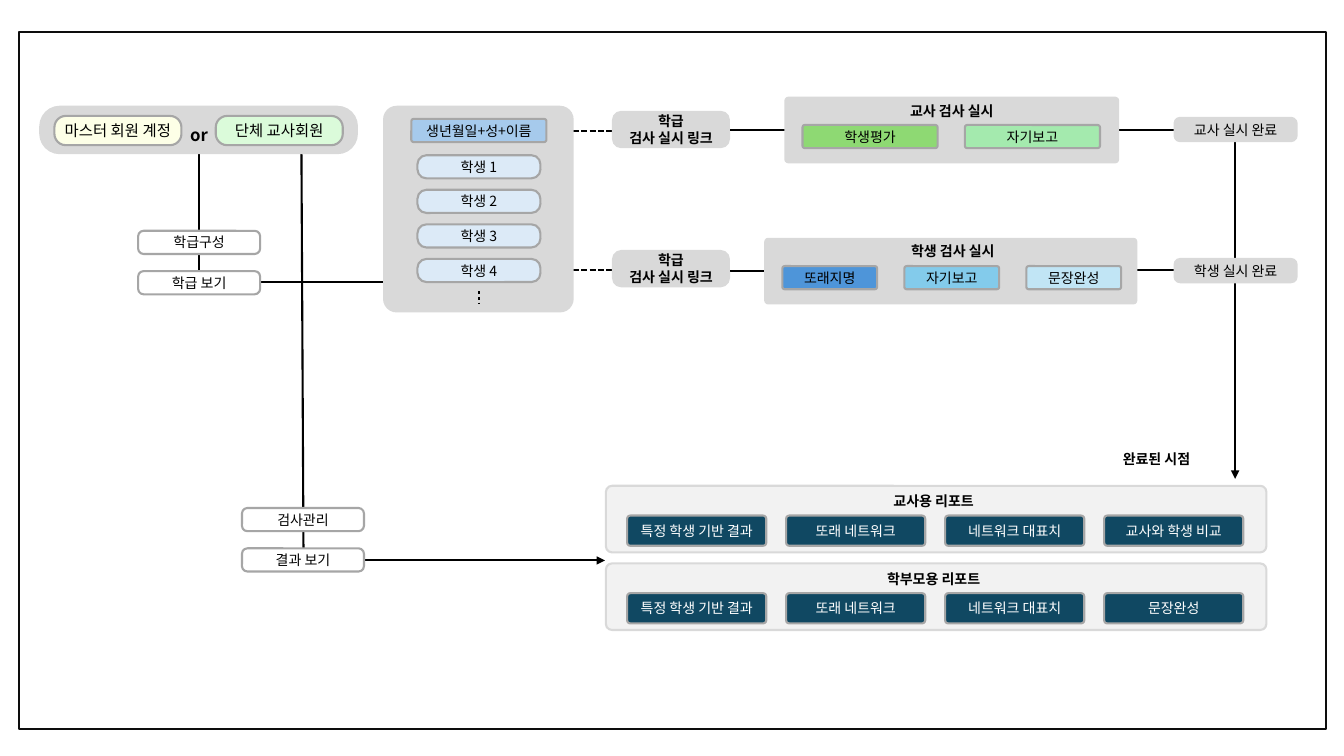
from dataclasses import dataclass
from typing import Optional

import pptx
import pptx.dml.color
import pptx.enum.dml
import pptx.enum.shapes
import pptx.enum.text
import pptx.oxml
import pptx.oxml.ns
import pptx.util

Inches = pptx.util.Inches
Pt = pptx.util.Pt
RGBColor = pptx.dml.color.RGBColor
Shape = pptx.enum.shapes.MSO_SHAPE
Dash = pptx.enum.dml.MSO_LINE

FONT = "Noto Sans CJK KR"
BLACK = RGBColor(0x00, 0x00, 0x00)
WHITE = RGBColor(0xFF, 0xFF, 0xFF)
FRAME = RGBColor(0x0D, 0x0D, 0x0D)
GRAY = RGBColor(0xD9, 0xD9, 0xD9)
EDGE = RGBColor(0xA6, 0xA6, 0xA6)
PALE_GRAY = RGBColor(0xF2, 0xF2, 0xF2)
CREAM = RGBColor(0xFD, 0xFF, 0xE7)
MINT = RGBColor(0xDB, 0xFB, 0xDA)
PALE_BLUE = RGBColor(0xDC, 0xEA, 0xF7)
SOFT_BLUE = RGBColor(0xA6, 0xCA, 0xEC)
GREEN = RGBColor(0x8E, 0xD9, 0x73)
LIGHT_GREEN = RGBColor(0xA4, 0xEA, 0xAE)
BLUE = RGBColor(0x4E, 0x95, 0xD9)
SKY = RGBColor(0x83, 0xCB, 0xEB)
LIGHT_SKY = RGBColor(0xC1, 0xE5, 0xF5)
NAVY = RGBColor(0x10, 0x48, 0x62)


@dataclass(frozen=True)
class Style:
    fill: Optional[RGBColor] = None
    edge: Optional[RGBColor] = None
    corner: float = 0.104
    ink: RGBColor = BLACK
    bold: bool = False
    size: int = 10


@dataclass(frozen=True)
class Box:
    x: float
    y: float
    w: float
    h: float
    style: Style
    text: str = ""


@dataclass(frozen=True)
class Link:
    x1: float
    y1: float
    x2: float
    y2: float
    dash: Optional[Dash] = None
    arrow: bool = False
    width: float = 1.5


HEADING = Style(bold=True)
TEST_PANEL = Style(GRAY, GRAY, 0.046)
REPORT_PANEL = Style(PALE_GRAY, GRAY, 0.09)
REPORT = Style(NAVY, EDGE, ink=WHITE)
MENU = Style(WHITE, EDGE, 0.234)
DONE = Style(GRAY, GRAY, 0.234)
TEST_LINK = Style(GRAY, GRAY, 0.234, bold=True)
STUDENT = Style(PALE_BLUE, EDGE, 0.389)


def write_text(frame, text: str, style: Style) -> None:
    frame.word_wrap = True
    frame.vertical_anchor = pptx.enum.text.MSO_ANCHOR.MIDDLE
    frame.margin_left = frame.margin_right = 0
    frame.margin_top = frame.margin_bottom = 0
    for index, line in enumerate(text.split("\n")):
        paragraph = frame.add_paragraph() if index else frame.paragraphs[0]
        paragraph.alignment = pptx.enum.text.PP_ALIGN.CENTER
        run = paragraph.add_run()
        run.text = line
        run.font.size = Pt(style.size)
        run.font.bold = style.bold
        run.font.color.rgb = style.ink
        run.font.name = FONT
        east_asian = pptx.oxml.parse_xml(
            f'<a:ea {pptx.oxml.ns.nsdecls("a")} typeface="{FONT}"/>')
        run.font._element.append(east_asian)


def draw_box(slide, box: Box) -> None:
    style = box.style
    kind = Shape.ROUNDED_RECTANGLE if style.corner else Shape.RECTANGLE
    shape = slide.shapes.add_shape(
        kind, Inches(box.x), Inches(box.y), Inches(box.w), Inches(box.h))
    shape.shadow.inherit = False
    if style.corner:
        shape.adjustments[0] = style.corner
    if style.fill is None:
        shape.fill.background()
    else:
        shape.fill.solid()
        shape.fill.fore_color.rgb = style.fill
    if style.edge is None:
        shape.line.fill.background()
    else:
        shape.line.color.rgb = style.edge
        shape.line.width = Pt(1.5)
    if box.text:
        write_text(shape.text_frame, box.text, style)


def draw_link(slide, link: Link) -> None:
    connector = slide.shapes.add_connector(
        pptx.enum.shapes.MSO_CONNECTOR.STRAIGHT,
        Inches(link.x1), Inches(link.y1), Inches(link.x2), Inches(link.y2))
    connector.line.color.rgb = BLACK
    connector.line.width = Pt(link.width)
    if link.dash is not None:
        connector.line.dash_style = link.dash
    namespace = pptx.oxml.ns.nsdecls("a")
    if link.arrow:
        connector.line._get_or_add_ln().append(
            pptx.oxml.parse_xml(f'<a:tailEnd {namespace} type="triangle"/>'))
    connector._element.spPr.append(pptx.oxml.parse_xml(f"<a:effectLst {namespace}/>"))


def main() -> None:
    deck = pptx.Presentation()
    deck.slide_width, deck.slide_height = Inches(13.33), Inches(7.5)
    slide = deck.slides.add_slide(deck.slide_layouts[6])

    # Flow lines, behind the boxes
    links = [
        Link(2.99, 1.53, 3.01, 5.44),
        Link(1.97, 1.53, 1.97, 2.68),
        Link(2.58, 2.8, 3.8, 2.8),
        Link(5.68, 1.3, 6.73, 1.3, Dash.SQUARE_DOT),
        Link(6.39, 1.29, 8.4, 1.29),
        Link(11.09, 1.29, 11.65, 1.29),
        Link(5.68, 2.68, 6.73, 2.68, Dash.SQUARE_DOT),
        Link(6.36, 2.69, 7.59, 2.69),
        Link(10.7, 2.68, 11.65, 2.68),
        Link(12.25, 1.41, 12.25, 4.75, arrow=True),
        Link(3.61, 5.56, 6, 5.56, arrow=True),
    ]
    for link in links:
        draw_link(slide, link)

    # Frame, accounts and class roster
    boxes = [
        Box(0.19, 0.32, 12.96, 6.91, Style(edge=FRAME, corner=0)),
        Box(0.4, 1.06, 3.14, 0.46, Style(GRAY, GRAY, 0.42)),
        Box(0.54, 1.15, 1.26, 0.29, Style(CREAM, EDGE, 0.389, size=11), "마스터 회원 계정"),
        Box(2.14, 1.15, 1.26, 0.29, Style(MINT, EDGE, 0.389, size=11), "단체 교사회원"),
        Box(3.81, 1.06, 1.87, 2.03, Style(GRAY, GRAY, 0.067)),
        Box(4.08, 1.18, 1.34, 0.23, Style(SOFT_BLUE, EDGE), "생년월일+성+이름"),
    ]
    boxes += [Box(4.14, 1.54 + 0.343 * i, 1.22, 0.23, STUDENT, f"학생 {i + 1}")
              for i in range(4)]

    # Menus
    for x, y, upper, lower in [(1.37, 2.29, "학급구성", "학급 보기"),
                               (2.4, 5.04, "검사관리", "결과 보기")]:
        boxes += [Box(x, y, 1.21, 0.23, MENU, upper),
                  Box(x, y + 0.4, 1.21, 0.23, MENU, lower)]

    # Test panels
    boxes += [
        Box(7.79, 0.97, 3.3, 0.64, TEST_PANEL),
        Box(8.9, 0.99, 1.08, 0.23, HEADING, "교사 검사 실시"),
        Box(7.59, 2.37, 3.68, 0.64, TEST_PANEL),
        Box(8.91, 2.37, 1.08, 0.23, HEADING, "학생 검사 실시"),
    ]
    teacher_tests = [("학생평가", GREEN), ("자기보고", LIGHT_GREEN)]
    student_tests = [("또래지명", BLUE), ("자기보고", SKY), ("문장완성", LIGHT_SKY)]
    for x, y, w, pitch, tests in [(7.96, 1.24, 1.34, 1.61, teacher_tests),
                                  (7.76, 2.64, 0.94, 1.21, student_tests)]:
        boxes += [Box(x + pitch * i, y, w, 0.23, Style(color, EDGE), name)
                  for i, (name, color) in enumerate(tests)]

    # Test links and completion
    for link_y, done_y, who in [(1.11, 1.17, "교사"), (2.49, 2.57, "학생")]:
        boxes += [Box(6.08, link_y, 1.15, 0.35, TEST_LINK, "학급\n검사 실시 링크"),
                  Box(11.65, done_y, 1.21, 0.23, DONE, f"{who} 실시 완료")]
    boxes.append(Box(10.93, 4.44, 1.08, 0.23, HEADING, "완료된 시점"))

    # Reports
    shared_reports = ["특정 학생 기반 결과", "또래 네트워크", "네트워크 대표치"]
    for y, heading, last_report in [(4.82, "교사용 리포트", "교사와 학생 비교"),
                                    (5.59, "학부모용 리포트", "문장완성")]:
        boxes += [Box(6.01, y, 6.55, 0.66, REPORT_PANEL),
                  Box(8.71, y, 1.1, 0.3, HEADING, heading)]
        boxes += [Box(6.22 + 1.577 * i, y + 0.295, 1.38, 0.3, REPORT, name)
                  for i, name in enumerate(shared_reports + [last_report])]

    for box in boxes:
        draw_box(slide, box)

    # Choice between accounts, and the continuing roster
    choice = slide.shapes.add_textbox(Inches(1.71), Inches(1.22), Inches(0.53), Inches(0.23))
    write_text(choice.text_frame, "or", Style(bold=True, size=12))
    draw_link(slide, Link(4.75, 2.89, 4.75, 3.01, Dash.ROUND_DOT, width=2))

    deck.save("out.pptx")


if __name__ == "__main__":
    main()
